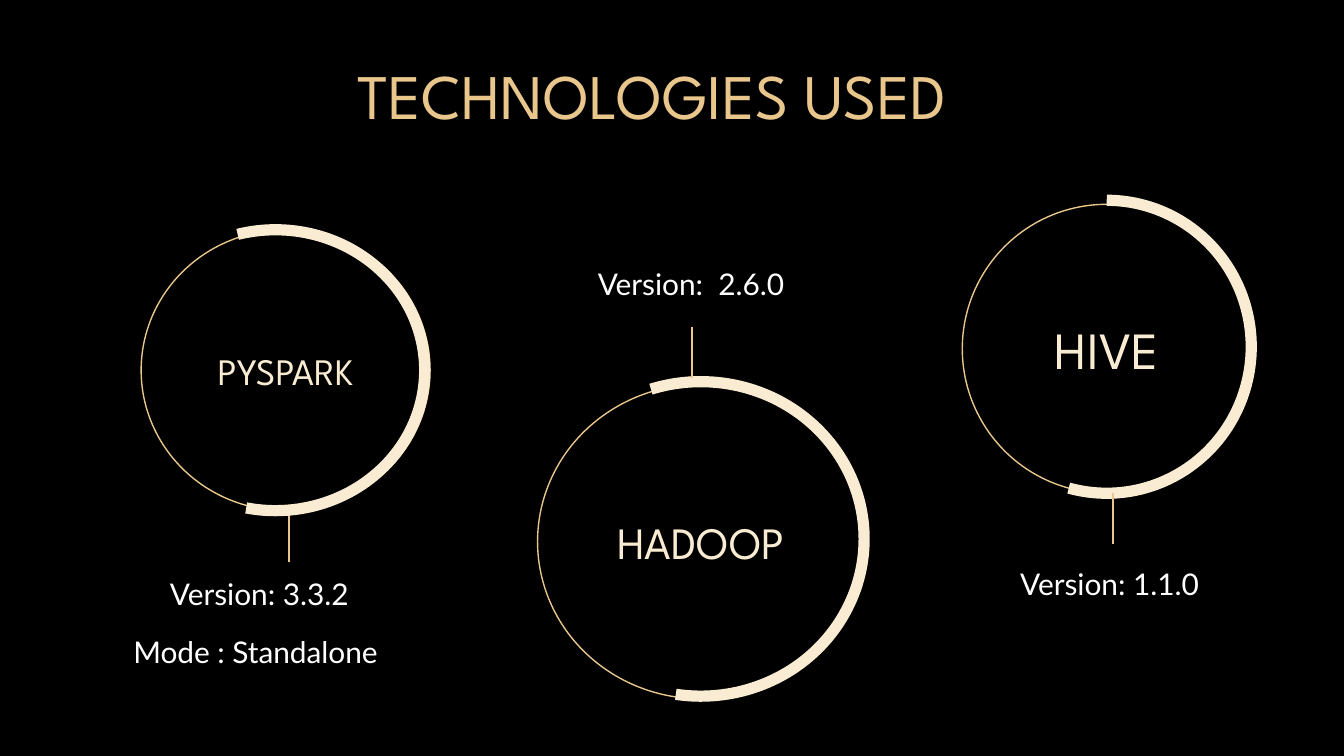
from pptx import Presentation
from pptx.dml.color import RGBColor
from pptx.enum.shapes import MSO_CONNECTOR as Link, MSO_SHAPE as Shape
from pptx.enum.text import MSO_ANCHOR as Anchor, MSO_AUTO_SIZE as Fit, PP_ALIGN as Align
from pptx.oxml.ns import qn
from pptx.util import Inches, Pt

BLACK = RGBColor(0x00, 0x00, 0x00)
WHITE = RGBColor(0xFF, 0xFF, 0xFF)
GOLD = RGBColor(0xE9, 0xC7, 0x8C)
CREAM = RGBColor(0xFA, 0xEC, 0xD3)
HEAD, BODY = "League Spartan", "Lato"

# name, size, box
RINGS = [
    ("PYSPARK", 20, (1.05, 1.71, 2.15, 2.09)),
    ("HADOOP", 24, (4, 2.86, 2.43, 2.34)),
    ("HIVE", 28, (7.16, 1.52, 2.15, 2.15)),
]
NOTES = [
    (["Version: 3.3.2", "Mode : Standalone "], (0.89, 4.18, 2.08, 0.92), Align.CENTER),
    (["Version:  2.6.0"], (4.35, 1.88, 1.87, 0.92), Align.LEFT),
    (["Version: 1.1.0 "], (7.35, 4.11, 1.87, 0.92), Align.CENTER),
]
# box, start and end in degrees
ARCS = [
    ((0.94, 1.71, 2.22, 2.09), 254.42, 102.02),
    ((4, 2.84, 2.43, 2.34), 251.58, 99.13),
    ((7.16, 1.49, 2.15, 2.18), 270, 105.04),
]
BACK_STEM = (2.15, 3.8)
FRONT_STEMS = [(8.28, 3.67), (5.15, 2.43)]
STEM = 0.38


def inches(box):
    return [Inches(n) for n in box]


def set_up(frame, anchor):
    frame.word_wrap = True
    frame.auto_size = Fit.NONE
    frame.vertical_anchor = anchor
    frame.margin_left = frame.margin_right = Inches(0.1)
    frame.margin_top = frame.margin_bottom = Inches(0.1)


def style(para, font, size, color, align=Align.CENTER):
    para.alignment = align
    para.font.name = font
    para.font.size = Pt(size)
    para.font.color.rgb = color


def outline(item, color, width):
    item.line.color.rgb = color
    item.line.width = Pt(width)


def add_title(slide, text):
    title = slide.shapes.title
    title.left, title.top, title.width, title.height = inches((0.63, 0.32, 8.44, 0.58))
    frame = title.text_frame
    set_up(frame, Anchor.TOP)
    frame.text = text
    style(frame.paragraphs[0], HEAD, 34, GOLD)


def add_curve(slide, kind, box, color, width):
    curve = slide.shapes.add_shape(kind, *inches(box))
    curve.shadow.inherit = False
    curve.fill.background()
    outline(curve, color, width)
    return curve


def add_ring(slide, name, size, box):
    frame = add_curve(slide, Shape.OVAL, box, GOLD, 0.75).text_frame
    set_up(frame, Anchor.MIDDLE)
    frame.text = name
    style(frame.paragraphs[0], HEAD, size, CREAM)


def add_arc(slide, box, start, end):
    arc = add_curve(slide, Shape.ARC, box, CREAM, 6)
    # Angles are stored in 1/60000 degree, adjustments in 1/100000
    arc.adjustments[0] = start * 0.6
    arc.adjustments[1] = end * 0.6


def add_note(slide, lines, box, align):
    frame = slide.shapes.add_textbox(*inches(box)).text_frame
    set_up(frame, Anchor.TOP)
    frame.text = "\n".join(lines)
    for para in frame.paragraphs:
        style(para, BODY, 16, WHITE, align)
        para.space_after = Pt(12)


def add_stem(slide, x, top):
    stem = slide.shapes.add_connector(Link.STRAIGHT, *inches((x, top, x, top + STEM)))
    outline(stem, GOLD, 0.75)
    props = stem._element.spPr
    props.append(props.makeelement(qn("a:effectLst"), {}))


def main():
    deck = Presentation()
    deck.slide_width = Inches(10)
    deck.slide_height = deck.slide_width * 9 // 16
    slide = deck.slides.add_slide(deck.slide_layouts[5])
    fill = slide.background.fill
    fill.solid()
    fill.fore_color.rgb = BLACK

    add_title(slide, "TECHNOLOGIES USED")
    for ring in RINGS:
        add_ring(slide, *ring)
    for note in NOTES:
        add_note(slide, *note)
    add_stem(slide, *BACK_STEM)
    for arc in ARCS:
        add_arc(slide, *arc)
    for stem in FRONT_STEMS:
        add_stem(slide, *stem)
    deck.save("out.pptx")


if __name__ == "__main__":
    main()
